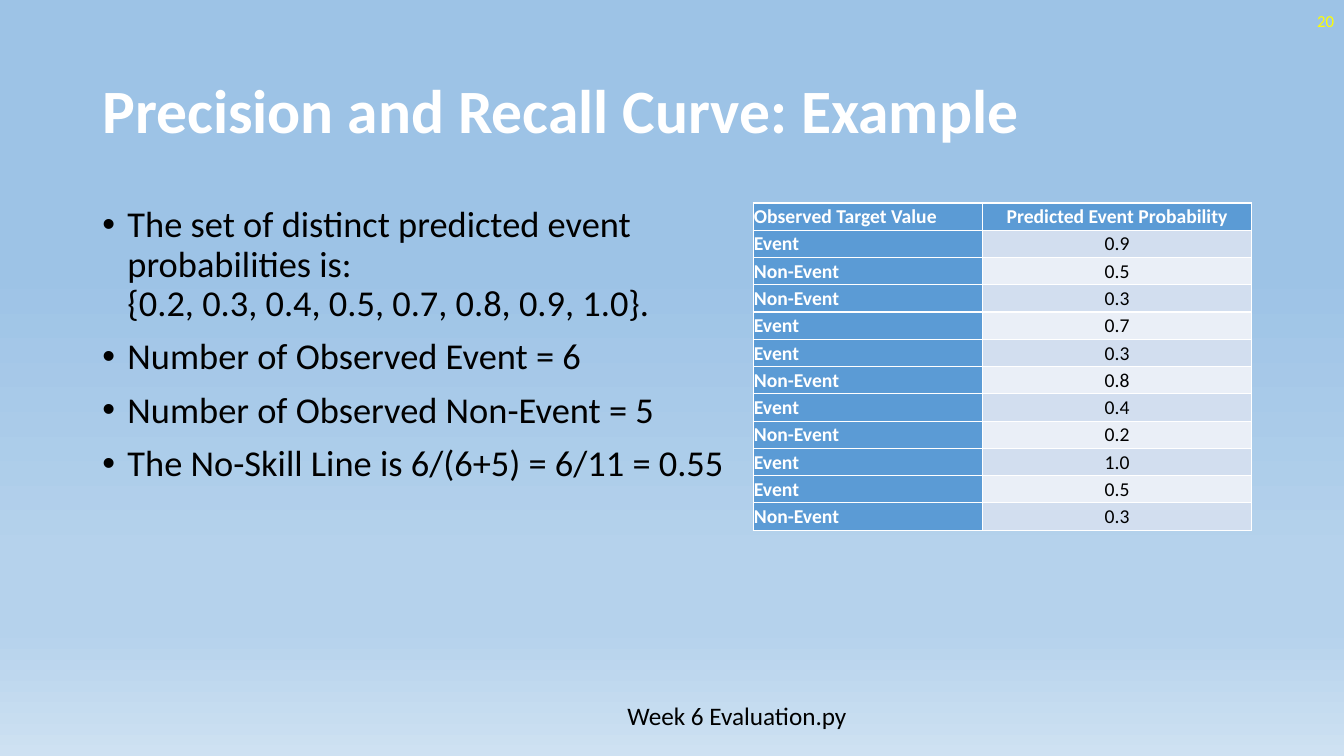
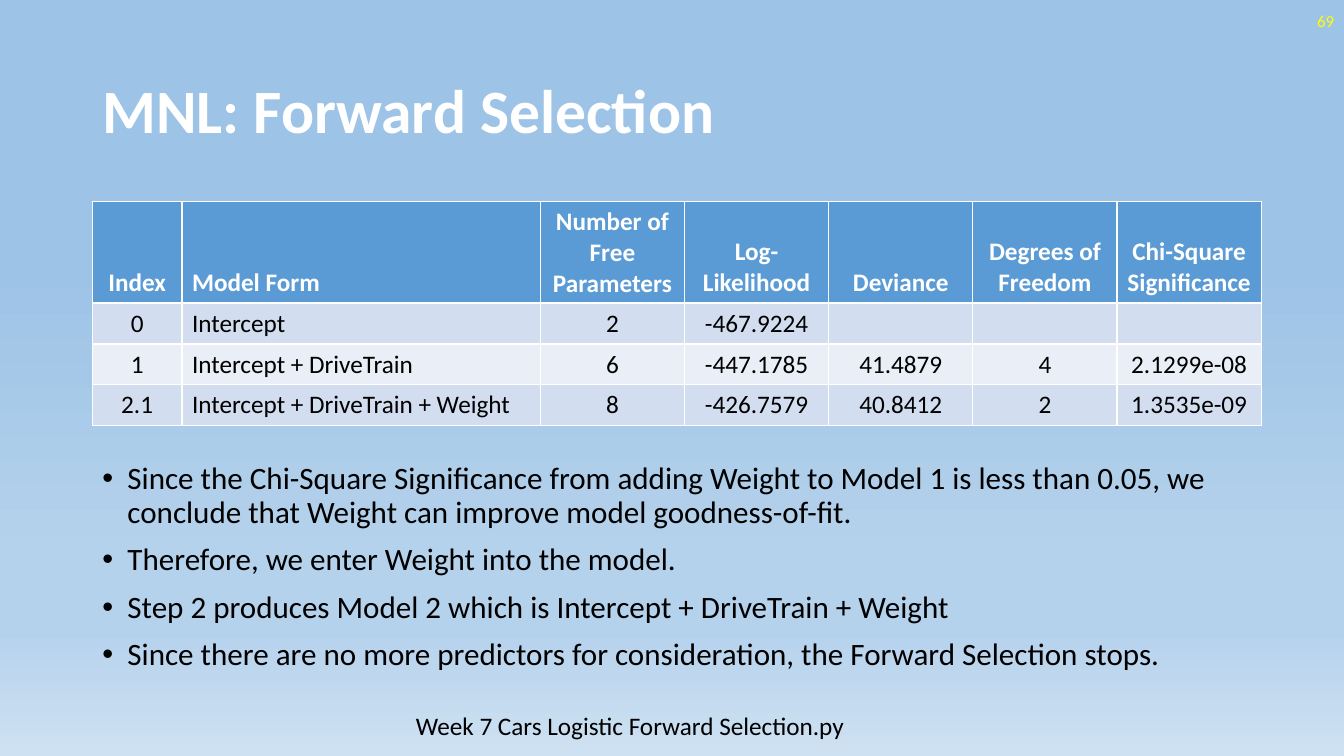
from dataclasses import dataclass

from lxml import etree
from pptx import Presentation
from pptx.dml.color import RGBColor
from pptx.enum.text import MSO_ANCHOR, MSO_AUTO_SIZE, PP_ALIGN
from pptx.oxml.ns import qn
from pptx.util import Pt

LEFT, CENTER, RIGHT = PP_ALIGN.LEFT, PP_ALIGN.CENTER, PP_ALIGN.RIGHT
TOP, MIDDLE, BOTTOM = MSO_ANCHOR.TOP, MSO_ANCHOR.MIDDLE, MSO_ANCHOR.BOTTOM
GROW_SHAPE = MSO_AUTO_SIZE.SHAPE_TO_FIT_TEXT
BLANK_LAYOUT = 6


@dataclass(frozen=True)
class Theme:
    font: str = "Calibri"
    white: str = "FFFFFF"
    black: str = "000000"
    number_color: str = "FFFF00"
    header_fill: str = "5B9BD5"
    band_fills: tuple = ("D2DEEF", "EAEFF7")
    # Percent from the top, colour
    background: tuple = ((35, "9DC3E6"), (74, "B5D2EC"), (83, "B5D2EC"), (100, "CEE1F2"))
    title_size: float = 44
    number_size: float = 12
    caption_size: float = 18
    margin: float = 66
    content_width: float = 828
    bullet_indent: float = 18


THEME = Theme()


def style_paragraph(paragraph, size, color, bold=False, align=LEFT):
    paragraph.alignment = align
    font = paragraph.font
    font.name = THEME.font
    font.size = Pt(size)
    font.bold = bold
    font.color.rgb = RGBColor.from_string(color)


def paint_background(master):
    fill = master.background.fill
    fill.gradient()
    fill.gradient_angle = 270
    stops = master.element.find(".//" + qn("a:gsLst"))
    for stop in list(stops):
        stops.remove(stop)
    for percent, color in THEME.background:
        stop = etree.SubElement(stops, qn("a:gs"), pos=str(percent * 1000))
        etree.SubElement(stop, qn("a:srgbClr"), val=color)


def add_text_frame(slide, left, top, width, height, anchor=TOP, wrap=True):
    shape = slide.shapes.add_textbox(Pt(left), Pt(top), Pt(width), Pt(height))
    frame = shape.text_frame
    frame.word_wrap = wrap
    frame.vertical_anchor = anchor
    return frame


def add_slide(presentation, title, number):
    slide = presentation.slides.add_slide(presentation.slide_layouts[BLANK_LAYOUT])
    # Title
    frame = add_text_frame(slide, THEME.margin, 29, THEME.content_width, 104, MIDDLE)
    frame.text = title
    frame.paragraphs[0].line_spacing = 0.9
    style_paragraph(frame.paragraphs[0], THEME.title_size, THEME.white, bold=True)
    # Slide number
    frame = add_text_frame(slide, 744, 0, 216, 29, MIDDLE)
    frame.text = number
    style_paragraph(frame.paragraphs[0], THEME.number_size, THEME.number_color, align=RIGHT)
    return slide


def add_bullets(slide, left, top, width, height, size, items):
    frame = add_text_frame(slide, left, top, width, height)
    for index, item in enumerate(items):
        paragraph = frame.add_paragraph() if index else frame.paragraphs[0]
        paragraph.text = item
        properties = paragraph._p.get_or_add_pPr()
        properties.set("marL", str(Pt(THEME.bullet_indent)))
        properties.set("indent", str(-Pt(THEME.bullet_indent)))
        etree.SubElement(properties, qn("a:buFont"), typeface="Arial")
        etree.SubElement(properties, qn("a:buChar"), char="•")
        paragraph.line_spacing = 0.9
        paragraph.space_before = Pt(10 if index else 0)
        style_paragraph(paragraph, size, THEME.black)


def add_caption(slide, left, top, width, text):
    frame = add_text_frame(slide, left, top, width, 29, wrap=False)
    frame.auto_size = GROW_SHAPE
    frame.text = text
    style_paragraph(frame.paragraphs[0], THEME.caption_size, THEME.black)


def add_data_table(slide, left, top, column_widths, row_heights, rows, size,
                   left_column, header_anchor=MIDDLE, header_column=False, margins=None):
    """Banded table; every column but left_column is centred."""
    graphic = slide.shapes.add_table(len(rows), len(column_widths), Pt(left), Pt(top),
                                     Pt(sum(column_widths)), Pt(sum(row_heights)))
    table = graphic.table
    table.first_col = header_column
    for column, width in zip(table.columns, column_widths):
        column.width = Pt(width)
    for row, height in zip(table.rows, row_heights):
        row.height = Pt(height)

    for row_index, values in enumerate(rows):
        for column_index, value in enumerate(values):
            cell = table.cell(row_index, column_index)
            is_header = row_index == 0 or (header_column and column_index == 0)
            band = THEME.band_fills[(row_index - 1) % 2]
            cell.fill.solid()
            cell.fill.fore_color.rgb = RGBColor.from_string(
                THEME.header_fill if is_header else band)
            cell.vertical_anchor = header_anchor if row_index == 0 else MIDDLE
            if margins:
                (cell.margin_left, cell.margin_top,
                 cell.margin_right, cell.margin_bottom) = map(Pt, margins)
            cell.text = value
            style_paragraph(cell.text_frame.paragraphs[0], size,
                            THEME.white if is_header else THEME.black, is_header,
                            LEFT if column_index == left_column else CENTER)


def build_curve_slide(presentation):
    slide = add_slide(presentation, "Precision and Recall Curve: Example", "20")
    add_bullets(slide, THEME.margin, 144, 509, 343, 26, [
        "The set of distinct predicted event probabilities is:\n"
        "{0.2, 0.3, 0.4, 0.5, 0.7, 0.8, 0.9, 1.0}.",
        "Number of Observed Event = 6",
        "Number of Observed Non-Event = 5",
        "The No-Skill Line is 6/(6+5) = 6/11 = 0.55",
    ])
    rows = [
        ("Observed Target Value", "Predicted Event Probability"),
        ("Event", "0.9"),
        ("Non-Event", "0.5"),
        ("Non-Event", "0.3"),
        ("Event", "0.7"),
        ("Event", "0.3"),
        ("Non-Event", "0.8"),
        ("Event", "0.4"),
        ("Non-Event", "0.2"),
        ("Event", "1.0"),
        ("Event", "0.5"),
        ("Non-Event", "0.3"),
    ]
    add_data_table(slide, 538, 145, [164, 192], [19.5] * len(rows), rows, 14,
                   left_column=0, header_column=True, margins=(0.5, 0.5, 0.5, 0))
    add_caption(slide, 441, 497, 173, "Week 6 Evaluation.py")


def build_selection_slide(presentation):
    slide = add_slide(presentation, "MNL: Forward Selection", "69")
    rows = [
        ("Index", "Model Form", "Number of Free Parameters", "Log-Likelihood",
         "Deviance", "Degrees of Freedom", "Chi-Square Significance"),
        ("0", "Intercept", "2", "-467.9224", "", "", ""),
        ("1", "Intercept + DriveTrain", "6", "-447.1785", "41.4879", "4", "2.1299e-08"),
        ("2.1", "Intercept + DriveTrain + Weight", "8", "-426.7579", "40.8412", "2",
         "1.3535e-09"),
    ]
    add_data_table(slide, THEME.margin, 144, [64, 256] + [103] * 5, [72.5] + [29.2] * 3,
                   rows, 18, left_column=1, header_anchor=BOTTOM)
    add_bullets(slide, THEME.margin, 327, THEME.content_width, 160, 22.2, [
        "Since the Chi-Square Significance from adding Weight to Model 1 is less than 0.05, "
        "we conclude that Weight can improve model goodness-of-fit.",
        "Therefore, we enter Weight into the model.",
        "Step 2 produces Model 2 which is Intercept + DriveTrain + Weight",
        "Since there are no more predictors for consideration, the Forward Selection stops.",
    ])
    add_caption(slide, 290, 504, 324, "Week 7 Cars Logistic Forward Selection.py")


def main():
    presentation = Presentation()
    presentation.slide_width = Pt(960)
    presentation.slide_height = Pt(540)
    paint_background(presentation.slide_master)
    build_curve_slide(presentation)
    build_selection_slide(presentation)
    presentation.save("out.pptx")


if __name__ == "__main__":
    main()
